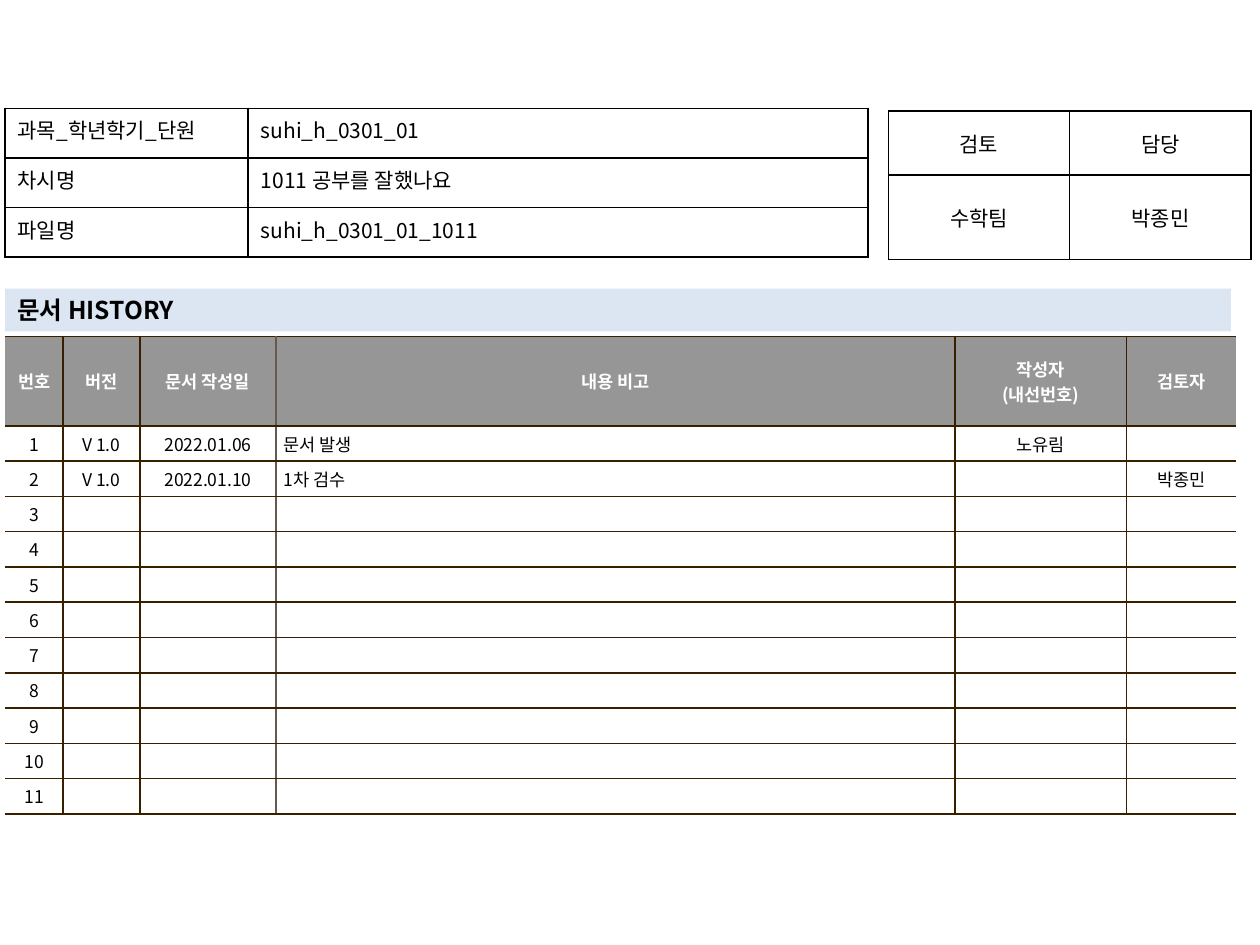
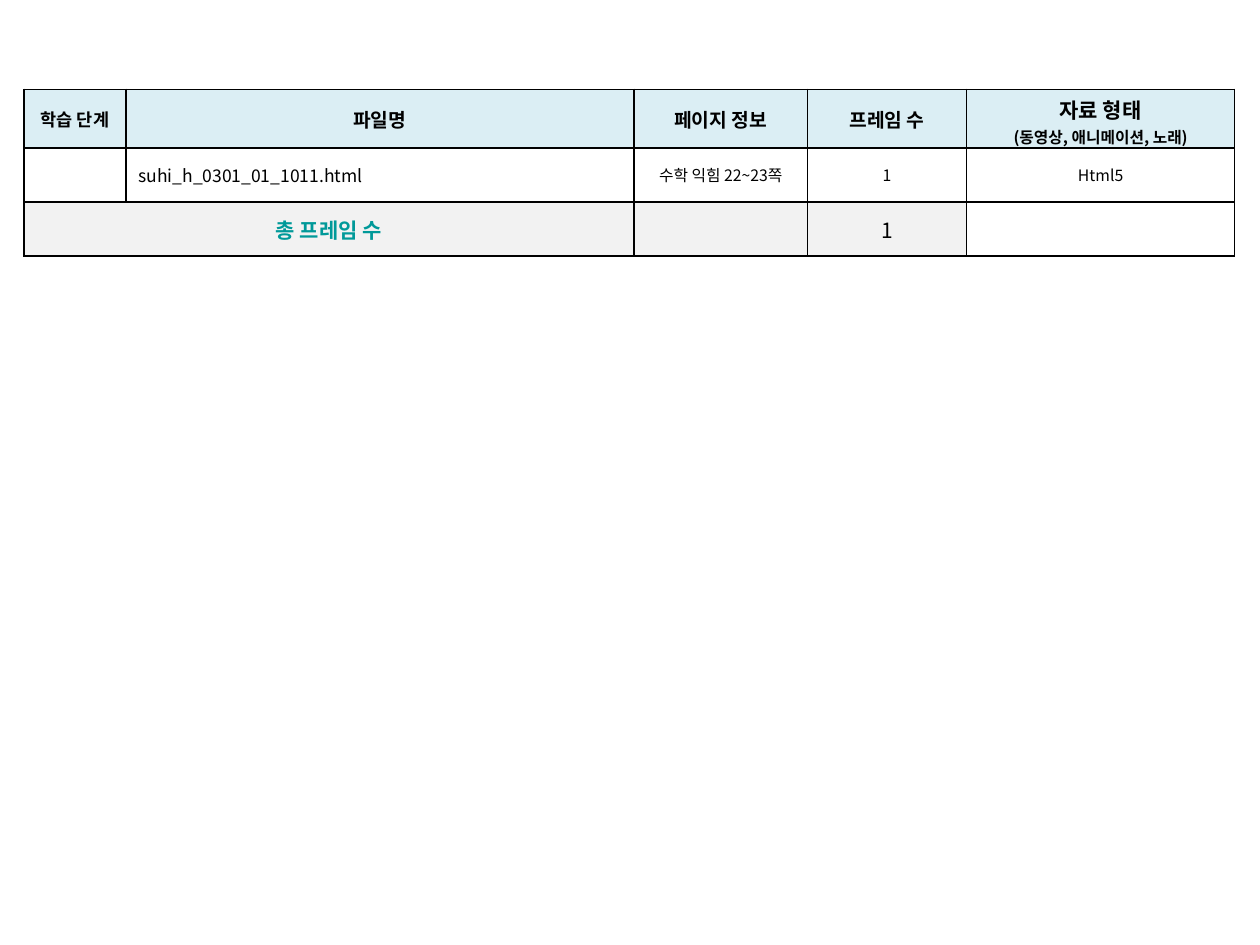
from lxml import etree
from pptx import Presentation
from pptx.dml.color import RGBColor
from pptx.enum.shapes import MSO_SHAPE
from pptx.enum.text import MSO_ANCHOR, PP_ALIGN
from pptx.oxml.ns import qn
from pptx.util import Inches, Pt

RECT = MSO_SHAPE.RECTANGLE
MIDDLE, TOP = MSO_ANCHOR.MIDDLE, MSO_ANCHOR.TOP
LEFT, CENTER, JUSTIFY = PP_ALIGN.LEFT, PP_ALIGN.CENTER, PP_ALIGN.JUSTIFY

FONT = "Noto Sans CJK KR"
BLACK, WHITE = "000000", "FFFFFF"
BROWN, TAUPE, GRAY = "362000", "645B4C", "969696"
BAND, AQUA, PALE, TEAL = "DCE6F2", "DBEEF4", "F2F2F2", "009999"


def color(code):
    return RGBColor.from_string(code)


def write(frame, text, size, tint=BLACK, bold=False, align=CENTER):
    """Fill a text frame; size is one number, or one per paragraph."""
    frame.text = text
    count = len(frame.paragraphs)
    sizes = size if isinstance(size, tuple) else (size,) * count
    for para, points in zip(frame.paragraphs, sizes):
        para.alignment = align
        for run in para.runs:
            font = run.font
            font.name, font.size, font.bold = FONT, Pt(points), bold
            font.color.rgb = color(tint)
            east = etree.SubElement(run._r.get_or_add_rPr(), qn("a:ea"))
            east.set("typeface", FONT)
        if not para.runs:
            end = etree.SubElement(para._p, qn("a:endParaRPr"))
            end.set("sz", str(points * 100))


def rule(cell, side, tint):
    """Draw one cell border (L, R, T or B); no tint means no line."""
    props = cell._tc.get_or_add_tcPr()
    line = etree.SubElement(props, qn(f"a:ln{side}"), w=str(Pt(1)))
    if tint:
        solid = etree.SubElement(line, qn("a:solidFill"))
        etree.SubElement(solid, qn("a:srgbClr"), val=tint)
    else:
        etree.SubElement(line, qn("a:noFill"))


def paint(cell, fill):
    if fill:
        cell.fill.solid()
        cell.fill.fore_color.rgb = color(fill)
    else:
        cell.fill.background()


def grid(slide, left, top, cols, rows, edges, pad=(0.1, 0.05), anchor=MIDDLE):
    """Add a bare ruled table; edges holds a colour per vertical line."""
    frame = slide.shapes.add_table(
        len(rows), len(cols), Inches(left), Inches(top),
        Inches(sum(cols)), Inches(sum(rows)))
    table = frame.table
    table.first_row = table.horz_banding = False
    for col, width in zip(table.columns, cols):
        col.width = Inches(width)
    for row, height in zip(table.rows, rows):
        row.height = Inches(height)
        for i, cell in enumerate(row.cells):
            cell.margin_left = cell.margin_right = Inches(pad[0])
            cell.margin_top = cell.margin_bottom = Inches(pad[1])
            cell.vertical_anchor = anchor
            rule(cell, "L", edges[i])
            rule(cell, "R", edges[i + 1])
            for side in "TB":
                rule(cell, side, edges[1])
            paint(cell, None)
    return table


def add_info(slide):
    rows = [
        ("과목_학년학기_단원", "suhi_h_0301_01"),
        ("차시명", "1011 공부를 잘했나요"),
        ("파일명", "suhi_h_0301_01_1011"),
    ]
    table = grid(slide, 0.04, 0.86, [1.93, 4.92], [1.18 / 3] * 3,
                 [BLACK] * 3, anchor=TOP)
    for r, (label, value) in enumerate(rows):
        write(table.cell(r, 0).text_frame, label, 12, align=JUSTIFY)
        write(table.cell(r, 1).text_frame, value, 12, align=LEFT)


def add_review(slide):
    rows = [("검토", "담당"), ("수학팀", "박종민")]
    table = grid(slide, 7.05, 0.88, [1.44] * 2, [0.51, 0.67], [BLACK] * 3)
    for r, row in enumerate(rows):
        for c, text in enumerate(row):
            write(table.cell(r, c).text_frame, text, 12)


def add_band(slide, text):
    band = slide.shapes.add_shape(
        RECT, Inches(0.04), Inches(2.29), Inches(9.73), Inches(0.34))
    band.shadow.inherit = False
    band.fill.solid()
    band.fill.fore_color.rgb = color(BAND)
    band.line.fill.background()
    band.text_frame.word_wrap = True
    band.text_frame.vertical_anchor = MIDDLE
    write(band.text_frame, text, 14, bold=True, align=LEFT)


def add_log(slide):
    count = 11
    heads = ["번호", "버전", "문서 작성일", "내용 비고",
             "작성자\n(내선번호)", "검토자"]
    logs = [
        ("V 1.0", "2022.01.06", "문서 발생", "노유림", ""),
        ("V 1.0", "2022.01.10", "1차 검수", "", "박종민"),
    ]
    logs += [("",) * 5] * (count - len(logs))
    table = grid(slide, 0.04, 2.67, [0.46, 0.61, 1.08, 5.39, 1.36, 0.87],
                 [0.71] + [0.25] * count,
                 [None, BROWN, BROWN, TAUPE, BROWN, BROWN, None],
                 pad=(0.06, 0.04))
    for c, text in enumerate(heads):
        paint(table.cell(0, c), GRAY)
        write(table.cell(0, c).text_frame, text, 10, WHITE, True)
    for r, log in enumerate(logs, 1):
        for c, text in enumerate((str(r), *log)):
            paint(table.cell(r, c), WHITE)
            write(table.cell(r, c).text_frame, text, 10,
                  align=LEFT if c == 3 else CENTER)


def add_files(slide):
    heads = [("학습 단계", 10), ("파일명", 11), ("페이지 정보", 11),
             ("프레임 수", 11), ("자료 형태\n(동영상, 애니메이션, 노래)", (12, 9))]
    items = ["", "suhi_h_0301_01_1011.html", "수학 익힘 22~23쪽", "1", "Html5"]
    table = grid(slide, 0.19, 0.71, [0.81, 4.03, 1.38, 1.26, 2.13],
                 [0.46, 0.43, 0.43], [BLACK] * 6)
    for c, (text, size) in enumerate(heads):
        paint(table.cell(0, c), AQUA)
        write(table.cell(0, c).text_frame, text, size, bold=True)
    kind = table.cell(0, 4)
    kind.margin_top, kind.margin_bottom = Inches(0.04), 0
    for c, text in enumerate(items):
        name = c == 1
        write(table.cell(1, c).text_frame, text, 10 if name else 9,
              align=LEFT if name else CENTER)
    table.cell(2, 0).merge(table.cell(2, 1))
    for c in range(4):
        paint(table.cell(2, c), PALE)
    write(table.cell(2, 0).text_frame, "총 프레임 수", 12, TEAL, True)
    for c, text in ((2, ""), (3, "1"), (4, "")):
        write(table.cell(2, c).text_frame, text, 12)


def main():
    deck = Presentation()
    deck.slide_width, deck.slide_height = Inches(10), Inches(7.5)
    blank = deck.slide_layouts[6]
    cover = deck.slides.add_slide(blank)
    add_log(cover)
    add_review(cover)
    add_band(cover, "문서 HISTORY")
    add_info(cover)
    add_files(deck.slides.add_slide(blank))
    deck.save("out.pptx")


if __name__ == "__main__":
    main()
